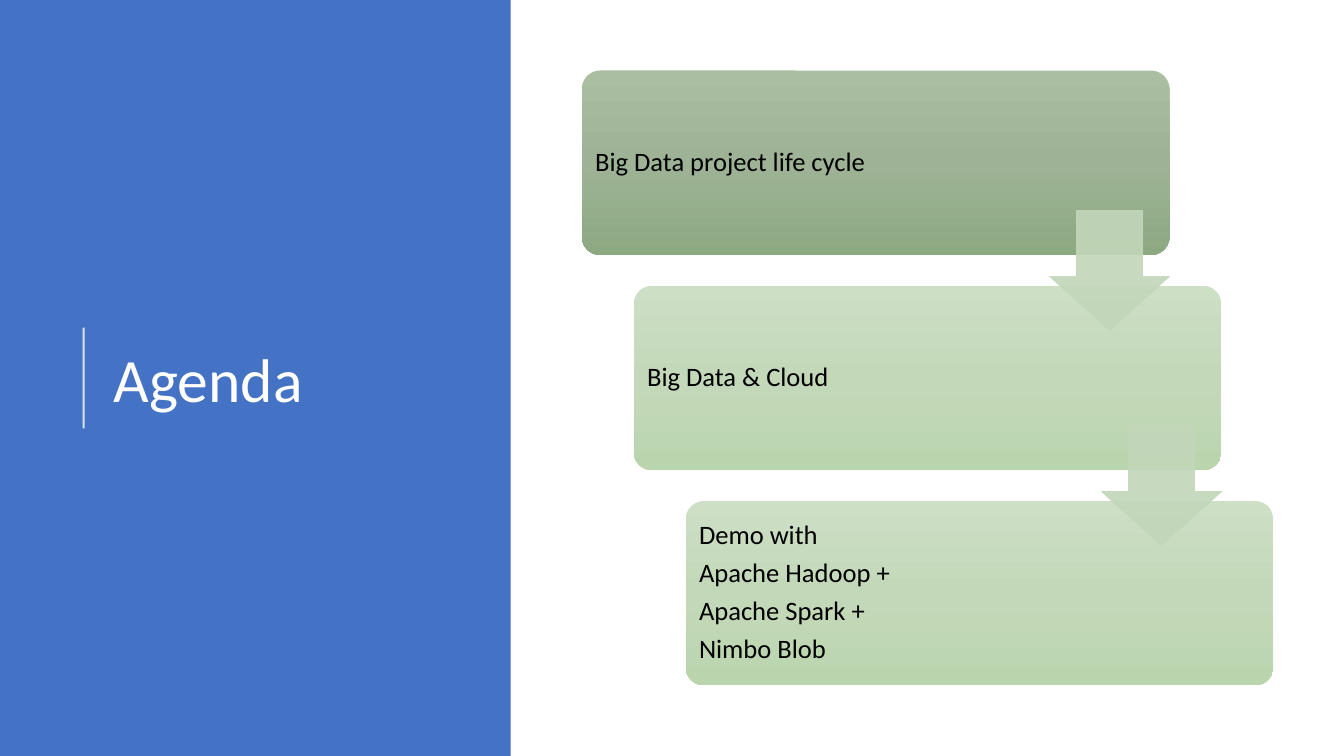
from copy import deepcopy
from dataclasses import dataclass
from lxml.etree import SubElement
from pptx import Presentation
from pptx.dml.color import RGBColor
from pptx.enum.shapes import MSO_CONNECTOR as Line, MSO_SHAPE as Kind
from pptx.enum.text import MSO_ANCHOR as Anchor, PP_ALIGN as Align
from pptx.oxml.ns import qn
from pptx.util import Inches, Pt

# Content
TITLE = "Agenda"
STEPS = [
    ["Big Data project life cycle"],
    ["Big Data & Cloud"],
    ["Demo with", "Apache Hadoop +", "Apache Spark +", "Nimbo Blob"],
]


# Theme
@dataclass(frozen=True)
class Theme:
    font: str = "Calibri"
    head: float = 44
    body: float = 19
    panel: str = "4472C4"
    light: str = "FFFFFF"
    dark: str = "000000"
    arrow: str = "C2D7B9"
    first: tuple = ("AABEA2", "9EB395", "8DA982")
    rest: tuple = ("CDDFC5", "C3D8B9", "BAD5AE")


T = Theme()

# Layout in inches: boxes step evenly from the top left to the bottom right
W, H = 13.33, 7.5
LEFT, TOP, RIGHT, BASE = 5.77, 0.7, 12.63, 6.8
BOX_W, BOX_H, ARROW = 5.83, 1.83, 1.19
DX = (RIGHT - LEFT - BOX_W) / (len(STEPS) - 1)
DY = (BASE - TOP - BOX_H) / (len(STEPS) - 1)


def rgb(code):
    return RGBColor.from_string(code)


def fade(node, share):
    for clr in node.iter(qn("a:srgbClr")):
        SubElement(clr, qn("a:alpha")).set("val", str(share * 1000))


def add_box(page, kind, *at):
    box = page.shapes.add_shape(kind, *map(Inches, at))
    box.shadow.inherit = False
    box.line.fill.background()
    return box


def shade(box, tones):
    box.fill.gradient()
    box.fill.gradient_angle = 270
    stops = box._element.spPr.find(".//" + qn("a:gsLst"))
    stops.insert(1, deepcopy(stops[0]))
    for i, (stop, tone) in enumerate(zip(box.fill.gradient_stops, tones)):
        stop.position = i / (len(tones) - 1)
        stop.color.rgb = rgb(tone)


def write(frame, lines, size, color, after=0):
    frame.word_wrap = True
    frame.vertical_anchor = Anchor.MIDDLE
    for i, line in enumerate(lines):
        para = frame.add_paragraph() if i else frame.paragraphs[0]
        para.alignment = Align.LEFT
        para.line_spacing = 0.9
        para.space_after = Pt(after)
        run = para.add_run()
        run.text = line
        run.font.name, run.font.size = T.font, Pt(size)
        run.font.color.rgb = rgb(color)


def add_panel(page):
    panel = add_box(page, Kind.RECTANGLE, 0, 0, 0.38 * W, H)
    panel.fill.solid()
    panel.fill.fore_color.rgb = rgb(T.panel)

    rule = page.shapes.add_connector(
        Line.STRAIGHT, *map(Inches, (0.83, 4.25, 0.83, 3.25)))
    rule.line.color.rgb = rgb(T.light)
    rule.line.width = Pt(1.5)
    props = rule._element.spPr
    fade(props, 80)
    SubElement(props, qn("a:effectLst"))

    title = page.shapes.add_textbox(*map(Inches, (1.03, 0.78, 3.69, 6.02)))
    write(title.text_frame, [TITLE], T.head, T.light)


def add_step(page, i, lines):
    box = add_box(page, Kind.ROUNDED_RECTANGLE,
                  LEFT + i * DX, TOP + i * DY, BOX_W, BOX_H)
    box.adjustments[0] = 0.1
    shade(box, T.rest if i else T.first)
    frame = box.text_frame
    frame.margin_left = frame.margin_right = Inches(0.08)
    frame.margin_top = frame.margin_bottom = Inches(0.08)
    write(frame, lines, T.body, T.dark, after=0.35 * T.body)


def add_arrow(page, i):
    # Right edge on the upper box, centred on the gap below it
    x = LEFT + i * DX + BOX_W - ARROW
    y = TOP + i * DY + (BOX_H + DY - ARROW) / 2
    arrow = add_box(page, Kind.DOWN_ARROW, x, y, ARROW, ARROW)
    arrow.adjustments[0], arrow.adjustments[1] = 0.55, 0.45
    arrow.fill.solid()
    arrow.fill.fore_color.rgb = rgb(T.arrow)
    arrow.line.color.rgb = rgb(T.arrow)
    arrow.line.width = Pt(0.5)
    fade(arrow._element.spPr, 90)


def main():
    deck = Presentation()
    deck.slide_width, deck.slide_height = Inches(W), Inches(H)
    page = deck.slides.add_slide(deck.slide_layouts[6])
    add_panel(page)
    for i, lines in enumerate(STEPS):
        add_step(page, i, lines)
    for i in range(len(STEPS) - 1):
        add_arrow(page, i)
    deck.save("out.pptx")


if __name__ == "__main__":
    main()
